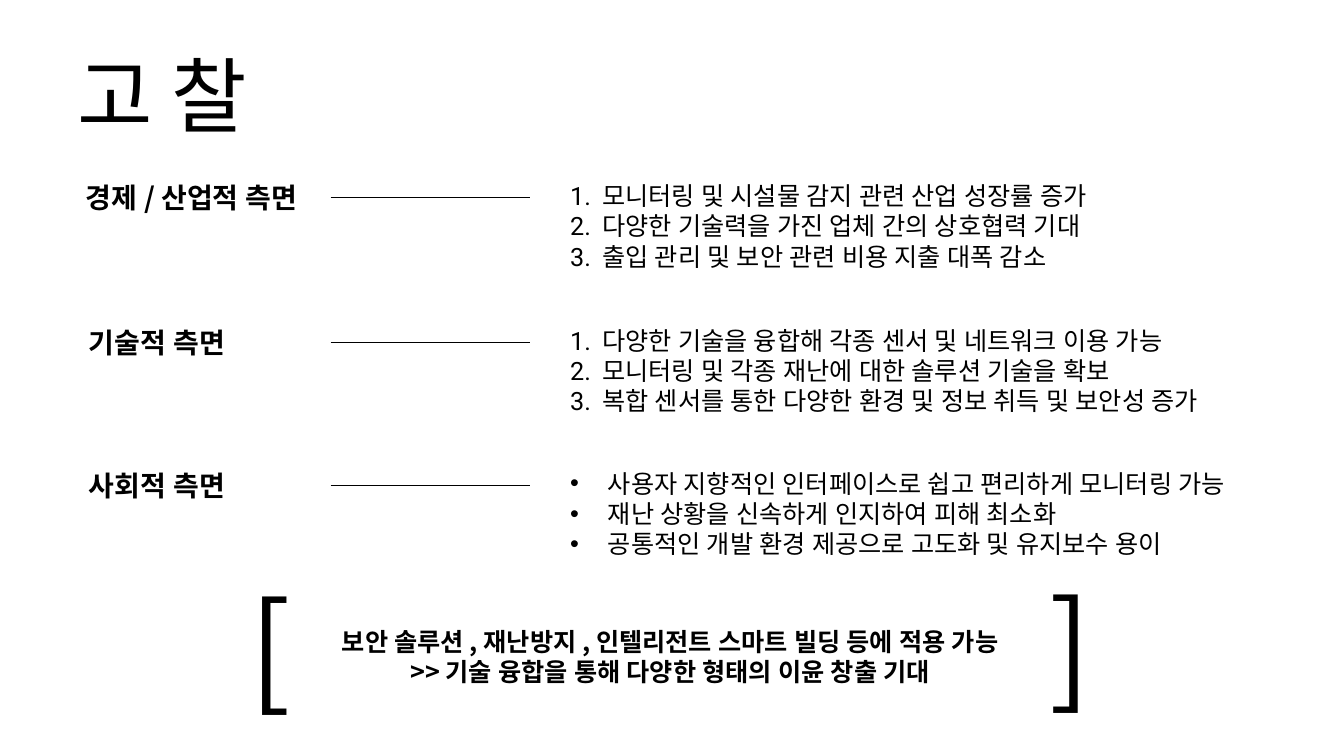
from dataclasses import dataclass

from lxml.etree import SubElement
from pptx import Presentation
from pptx.dml.color import RGBColor
from pptx.enum.shapes import MSO_CONNECTOR
from pptx.enum.text import MSO_ANCHOR, PP_ALIGN
from pptx.oxml.ns import qn
from pptx.slide import Slide
from pptx.util import Cm, Pt

COLORS = {"ink": "000000", "paper": "FFFFFF"}
SANS, BODY = "Noto Sans CJK KR", "Roboto"
LABEL_LEFT, LINE_LEFT, LINE_RIGHT, LIST_LEFT = 1.8, 8.33, 13.36, 14.12
Runs = list[tuple[str, str]]


@dataclass
class Aspect:
    label: Runs
    label_width: float
    top: float
    points: list[str]
    numbered: bool = True


ASPECTS = [
    Aspect([("경제", BODY), (" / ", SANS), ("산업적 측면", BODY)], 6.07, 4.42, [
        "모니터링 및 시설물 감지 관련 산업 성장률 증가",
        "다양한 기술력을 가진 업체 간의 상호협력 기대",
        "출입 관리 및 보안 관련 비용 지출 대폭 감소",
    ]),
    Aspect([("기술적 측면", BODY)], 4.32, 8.07, [
        "다양한 기술을 융합해 각종 센서 및 네트워크 이용 가능",
        "모니터링 및 각종 재난에 대한 솔루션 기술을 확보",
        "복합 센서를 통한 다양한 환경 및 정보 취득 및 보안성 증가",
    ]),
    Aspect([("사회적 측면", BODY)], 4.32, 11.67, [
        "사용자 지향적인 인터페이스로 쉽고 편리하게 모니터링 가능",
        "재난 상황을 신속하게 인지하여 피해 최소화",
        "공통적인 개발 환경 제공으로 고도화 및 유지보수 용이",
    ], numbered=False),
]
CONCLUSION: list[Runs] = [
    [("보안 솔루션", BODY), (" , ", SANS), ("재난방지", BODY), (" , ", SANS),
     ("인텔리전트 스마트 빌딩 등에 적용 가능", BODY)],
    [(">> ", SANS), ("기술 융합을 통해 다양한 형태의 이윤 창출 기대", BODY)],
]
BRACKETS = [("[", 6.05, 14.27), ("]", 26.19, 14.22)]


def add_text(page: Slide, paragraphs: list[Runs], left: float, top: float,
             width: float, height: float, *, size: float, bold: bool = False,
             align: PP_ALIGN = PP_ALIGN.LEFT, anchor: MSO_ANCHOR = MSO_ANCHOR.TOP,
             hanging: float = 0, bullet: str = "") -> None:
    box = page.shapes.add_textbox(Cm(left), Cm(top), Cm(width), Cm(height))
    frame = box.text_frame
    frame.word_wrap = True
    frame.vertical_anchor = anchor
    for index, runs in enumerate(paragraphs):
        para = frame.paragraphs[0] if index == 0 else frame.add_paragraph()
        para.alignment = align
        properties = para._p.get_or_add_pPr()
        if hanging:
            properties.set("marL", str(Cm(hanging)))
            properties.set("indent", str(-Cm(hanging)))
        if bullet:
            SubElement(properties, qn("a:buFont"), typeface="Arial")
            SubElement(properties, qn("a:buChar"), char=bullet)
        for text, font in runs:
            span = para.add_run()
            span.text = text
            span.font.name = font
            span.font.size = Pt(size)
            span.font.bold = bold
            span.font.color.rgb = RGBColor.from_string(COLORS["ink"])
            # East Asian glyphs follow the same typeface
            SubElement(span.font._element, qn("a:ea"), typeface=font)


def add_rule(page: Slide, y: float) -> None:
    rule = page.shapes.add_connector(
        MSO_CONNECTOR.STRAIGHT, Cm(LINE_LEFT), Cm(y), Cm(LINE_RIGHT), Cm(y))
    rule.line.color.rgb = RGBColor.from_string(COLORS["ink"])
    rule.line.width = Pt(0.5)
    SubElement(rule._element.spPr, qn("a:effectLst"))


def add_aspect(page: Slide, aspect: Aspect) -> None:
    add_text(page, [aspect.label], LABEL_LEFT, aspect.top, aspect.label_width, 1.12,
             size=20, bold=True, align=PP_ALIGN.CENTER)
    add_rule(page, aspect.top + 0.56)
    numbered = aspect.numbered
    points = [[(f"{number}.\t{point}" if numbered else point, BODY)]
              for number, point in enumerate(aspect.points, 1)]
    add_text(page, points, LIST_LEFT, aspect.top, 18.4, 2.57, size=18,
             hanging=0.81 if numbered else 0.95, bullet="" if numbered else "•")


def main() -> None:
    deck = Presentation()
    deck.slide_width, deck.slide_height = Cm(33.87), Cm(19.05)
    page = deck.slides.add_slide(deck.slide_layouts[6])
    page.background.fill.solid()
    page.background.fill.fore_color.rgb = RGBColor.from_string(COLORS["paper"])

    # Title
    add_text(page, [[("고 찰", SANS)]], 1.7, 0.76, 6.63, 3.18,
             size=58.6, anchor=MSO_ANCHOR.MIDDLE)

    # Aspects with their points
    for aspect in ASPECTS:
        add_aspect(page, aspect)

    # Bracketed conclusion
    add_text(page, CONCLUSION, 7.57, 15.65, 18.64, 1.8,
             size=18, bold=True, align=PP_ALIGN.CENTER)
    for bracket, left, top in BRACKETS:
        add_text(page, [[(bracket, SANS)]], left, top, 1.47, 4.01, size=88)

    deck.save("out.pptx")


if __name__ == "__main__":
    main()
